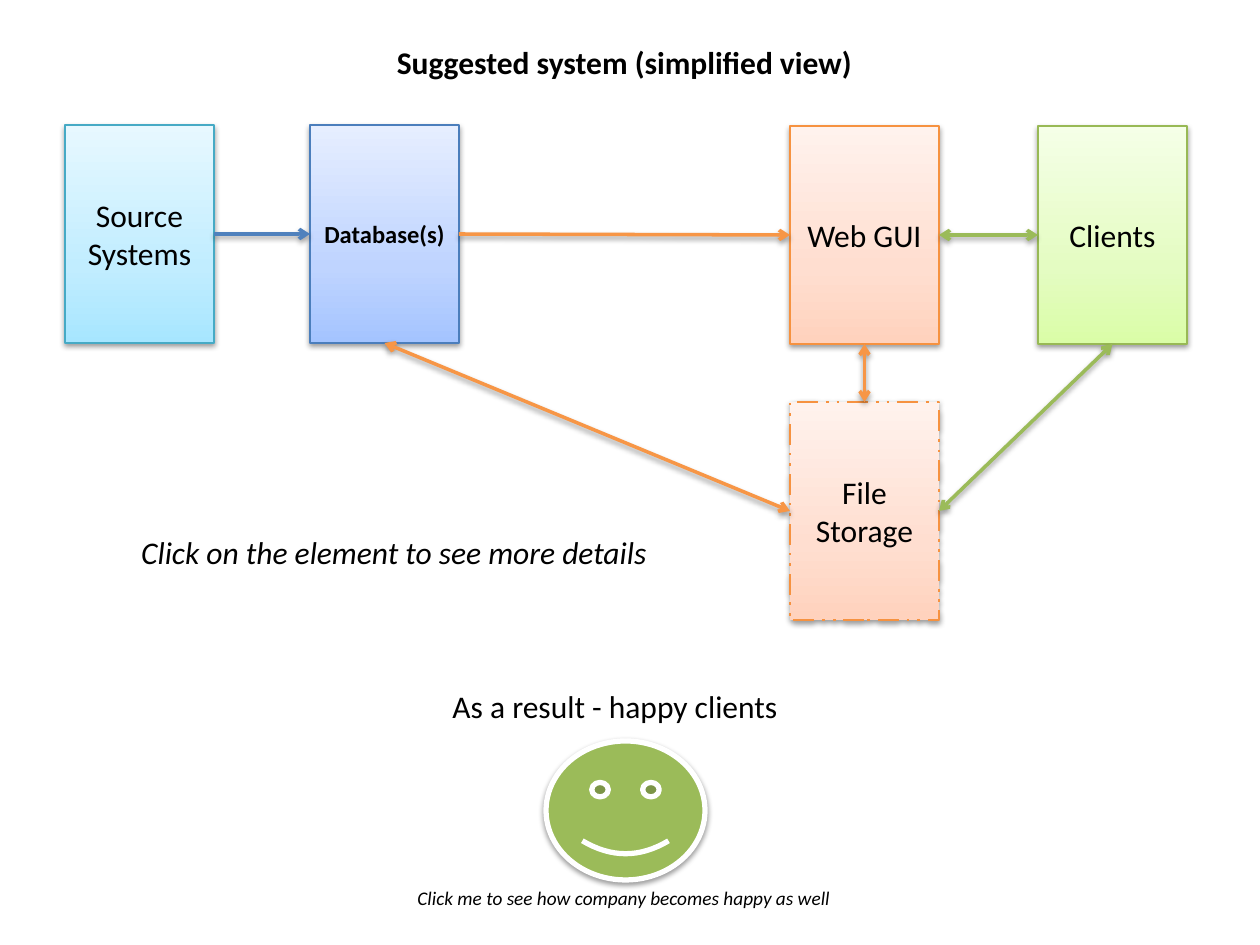
from copy import deepcopy

from lxml import etree
from pptx import Presentation
from pptx.dml.color import RGBColor
from pptx.enum.dml import MSO_LINE
from pptx.enum.shapes import MSO_CONNECTOR, MSO_SHAPE
from pptx.enum.text import MSO_ANCHOR, MSO_AUTO_SIZE, PP_ALIGN
from pptx.oxml.ns import qn
from pptx.util import Emu, Pt

STRAIGHT = MSO_CONNECTOR.STRAIGHT
RECTANGLE, SMILEY = MSO_SHAPE.RECTANGLE, MSO_SHAPE.SMILEY_FACE
LEFT, CENTER = PP_ALIGN.LEFT, PP_ALIGN.CENTER
TOP, MIDDLE = MSO_ANCHOR.TOP, MSO_ANCHOR.MIDDLE
NO_AUTOFIT = MSO_AUTO_SIZE.NONE
DASHED = MSO_LINE.DASH_DOT_DOT

PX_PER_INCH = 126
TOP_SIDE, LEFT_SIDE, BOTTOM_SIDE, RIGHT_SIDE = range(4)
BLUE, ORANGE, GREEN = "4F81BD", "F79646", "9BBB59"
AQUA_BOX = ("A7E6FF", "C1EDFF", "E7F8FF"), "46AAC5"
BLUE_BOX = ("A4C4FF", "BFD4FF", "E6EEFF"), "4B7EBC"
ORANGE_BOX = ("FFD2BD", "FFDED0", "FFF2ED"), "F69240"
GREEN_BOX = ("DAFDA7", "E4FCC2", "F5FFE7"), "98B955"


def px(length):
    return Emu(round(length * 914400 / PX_PER_INCH))


def color(hex_code):
    return RGBColor.from_string(hex_code)


def write(frame, text, size=18, bold=False, italic=False, align=CENTER, anchor=TOP):
    frame.word_wrap = True
    frame.auto_size = NO_AUTOFIT
    frame.vertical_anchor = anchor
    paragraph = frame.paragraphs[0]
    paragraph.alignment = align
    run = paragraph.add_run()
    run.text = text
    font = run.font
    font.name, font.size, font.bold, font.italic = "Calibri", Pt(size), bold, italic
    font.color.rgb = color("000000")


def cast_shadow(properties):
    effects = properties.find(qn("a:effectLst"))
    if effects is None:
        effects = etree.SubElement(properties, qn("a:effectLst"))
    shadow = etree.SubElement(effects, qn("a:outerShdw"), blurRad="40000",
                              dist="20000", dir="5400000", rotWithShape="0")
    black = etree.SubElement(shadow, qn("a:srgbClr"), val="000000")
    etree.SubElement(black, qn("a:alpha"), val="38000")


class Diagram:
    """Holds the slide and draws each kind of element in its shared style."""

    def __init__(self, slide):
        self.slide = slide
        self.shapes = slide.shapes

    def title(self, text, left, top, width, height):
        heading = self.shapes.title
        heading.left, heading.top = px(left), px(top)
        heading.width, heading.height = px(width), px(height)
        write(heading.text_frame, text, bold=True)

    def caption(self, text, left, top, width, height, **style):
        box = self.shapes.add_textbox(px(left), px(top), px(width), px(height))
        write(box.text_frame, text, **style)

    def outlined(self, kind, left, top, width, height, outline, weight):
        shape = self.shapes.add_shape(kind, px(left), px(top), px(width), px(height))
        shape.line.color.rgb = color(outline)
        shape.line.width = Pt(weight)
        shape.shadow.inherit = False
        cast_shadow(shape._element.spPr)
        return shape

    def node(self, text, left, top, theme, weight=0.75, dash=None, **style):
        tones, outline = theme
        box = self.outlined(RECTANGLE, left, top, 149, 218, outline, weight)
        if dash:
            box.line.dash_style = dash
        box.fill.gradient()
        box.fill.gradient_angle = 90
        stop_list = box._element.spPr.find(qn("a:gradFill")).find(qn("a:gsLst"))
        stop_list.append(deepcopy(stop_list[-1]))
        for stop, tone, position in zip(box.fill.gradient_stops, tones, (0, 0.35, 1)):
            stop.color.rgb = color(tone)
            stop.position = position
        write(box.text_frame, text, anchor=MIDDLE, **style)
        return box

    def smiley(self, left, top, width, height):
        face = self.outlined(SMILEY, left, top, width, height, "FFFFFF", 3)
        face.fill.solid()
        face.fill.fore_color.rgb = color(GREEN)

    def arrow(self, source, source_side, target, target_side, tone, both=True):
        link = self.shapes.add_connector(STRAIGHT, 0, 0, 0, 0)
        link.begin_connect(source, source_side)
        link.end_connect(target, target_side)
        link.line.color.rgb = color(tone)
        link.line.width = Pt(2)
        ends = ("a:headEnd", "a:tailEnd") if both else ("a:tailEnd",)
        outline = link.line._get_or_add_ln()
        for end in ends:
            etree.SubElement(outline, qn(end), type="arrow")
        cast_shadow(link._element.spPr)


def main():
    deck = Presentation()
    deck.slide_width, deck.slide_height = px(1260), px(945)
    diagram = Diagram(deck.slides.add_slide(deck.slide_layouts[5]))

    diagram.title("Suggested system (simplified view)", 64, 37, 1121, 50)
    sources = diagram.node("Source Systems", 65, 125, AQUA_BOX)
    database = diagram.node("Database(s)", 310, 125, BLUE_BOX, size=14, bold=True)
    web_gui = diagram.node("Web GUI", 790, 126, ORANGE_BOX)
    clients = diagram.node("Clients", 1038, 126, GREEN_BOX)
    storage = diagram.node("File Storage", 790, 402, ORANGE_BOX, weight=1.5, dash=DASHED)

    diagram.arrow(sources, RIGHT_SIDE, database, LEFT_SIDE, BLUE, both=False)
    diagram.arrow(database, RIGHT_SIDE, web_gui, LEFT_SIDE, ORANGE, both=False)
    diagram.arrow(web_gui, RIGHT_SIDE, clients, LEFT_SIDE, GREEN)
    diagram.arrow(database, BOTTOM_SIDE, storage, LEFT_SIDE, ORANGE)
    diagram.arrow(web_gui, BOTTOM_SIDE, storage, TOP_SIDE, ORANGE)
    diagram.arrow(clients, BOTTOM_SIDE, storage, RIGHT_SIDE, GREEN)

    diagram.caption("Click on the element to see more details", 35, 527, 718, 50, italic=True)
    diagram.caption("As a result - happy clients", 440, 681, 372, 50, align=LEFT)
    diagram.smiley(546, 741, 159, 139)
    diagram.caption("Click me to see how company becomes happy as well",
                    277, 880, 694, 36, size=11, italic=True)
    deck.save("out.pptx")


if __name__ == "__main__":
    main()
